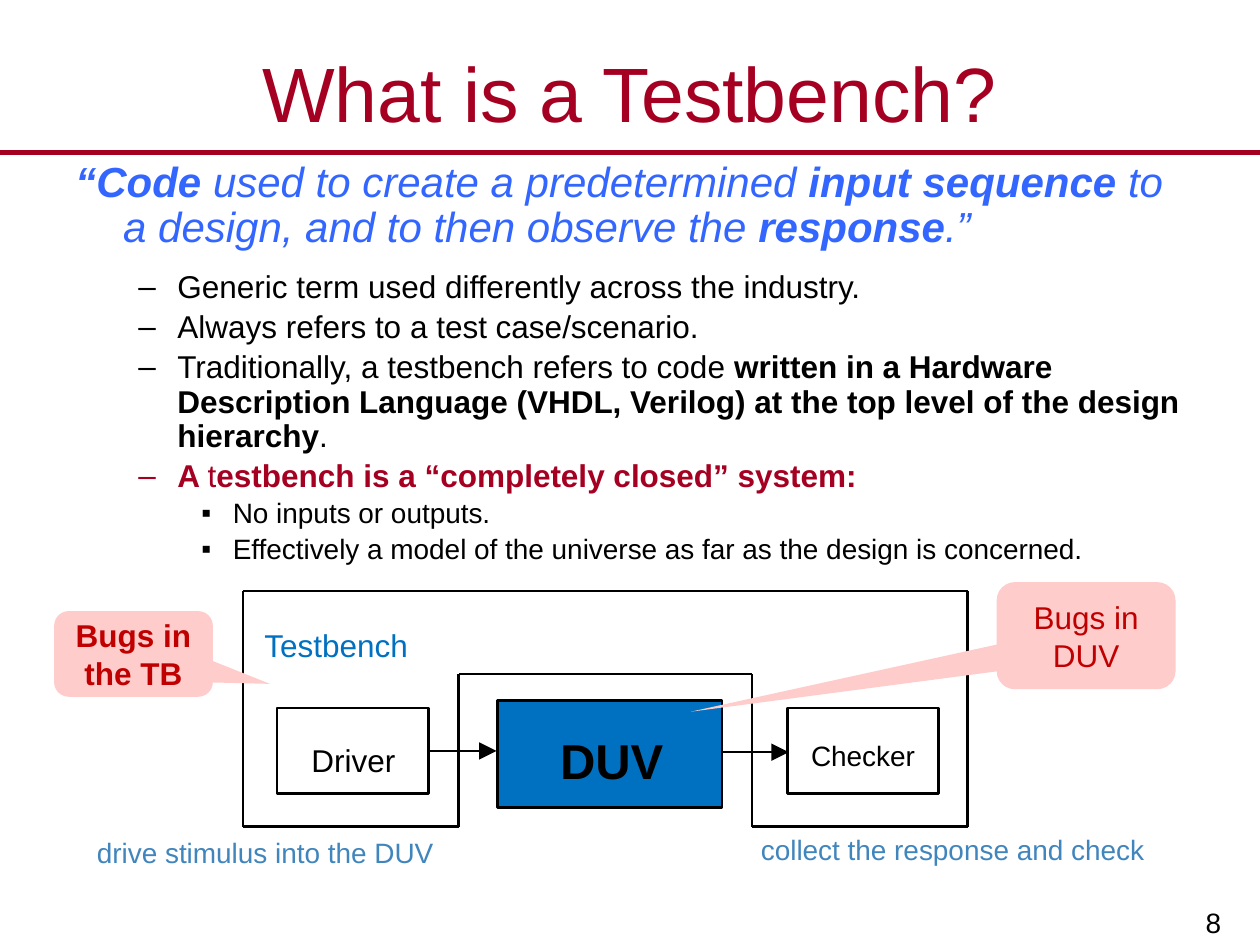
from itertools import pairwise

from lxml import etree
from pptx import Presentation
from pptx.dml.color import RGBColor
from pptx.enum.shapes import MSO_CONNECTOR, MSO_SHAPE
from pptx.enum.text import MSO_ANCHOR, PP_ALIGN
from pptx.oxml.ns import qn
from pptx.util import Inches, Pt

LEFT, CENTER, RIGHT = PP_ALIGN.LEFT, PP_ALIGN.CENTER, PP_ALIGN.RIGHT
TOP, MIDDLE, BOTTOM = MSO_ANCHOR.TOP, MSO_ANCHOR.MIDDLE, MSO_ANCHOR.BOTTOM
RECTANGLE = MSO_SHAPE.RECTANGLE
CALLOUT = MSO_SHAPE.ROUNDED_RECTANGULAR_CALLOUT
STRAIGHT = MSO_CONNECTOR.STRAIGHT

FONT = "Arial"
BLACK, CRIMSON, QUOTE_BLUE = "000000", "A50021", "3366FF"
BLUE, LABEL_BLUE = "0070C0", "4185BD"
PINK, RED = "FFCCCC", "C00000"

# Level: (left margin, hanging indent, bullet, size, space before in points)
LEVELS = {
    "quote": (0.38, 0.38, None, 24, 0),
    "point": (0.81, 0.31, "–", 18, 3.6),
    "detail": (1.25, 0.25, "▪", 16, 3.2),
}
QUOTE_GAP = 11

# Level, colour, runs as (text, bold)
BODY = [
    ("quote", QUOTE_BLUE, [
        ("“Code ", True), ("used to create a predetermined ", False),
        ("input sequence ", True), ("to a design, and to then observe the ", False),
        ("response", True), (".”", False)]),
    ("point", BLACK, [("Generic term used differently across the industry.", False)]),
    ("point", BLACK, [("Always refers to a test case/scenario.", False)]),
    ("point", BLACK, [
        ("Traditionally, a testbench refers to code ", False),
        ("written in a Hardware Description Language (VHDL, Verilog) "
         "at the top level of the design hierarchy", True),
        (".", False)]),
    ("point", CRIMSON, [
        ("A ", True), ("t", False),
        ("estbench is a “completely closed” system:", True)]),
    ("detail", BLACK, [("No inputs or outputs.", False)]),
    ("detail", BLACK, [
        ("Effectively a model of the universe as far as the design is concerned.", False)]),
]

# Text, (left, top, width, height), size, colour, alignment, anchor, bold
HEADINGS = [
    ("8", (7.8, 6.93, 1.99, 0.57), 16, BLACK, RIGHT, BOTTOM, False),
    ("What is a Testbench?", (0, 0.3, 10, 0.86), 44, CRIMSON, CENTER, MIDDLE, False),
]
LABELS = [
    ("Testbench", (2, 4.92, 1.45, 0.4), 18, BLUE, LEFT, TOP, False),
    ("Driver", (2.14, 5.83, 1.33, 0.4), 18, BLACK, CENTER, TOP, False),
    ("Checker", (6.28, 5.81, 1.14, 0.37), 16, BLACK, CENTER, TOP, False),
    ("DUV", (4.29, 5.75, 1.13, 0.57), 28, BLACK, CENTER, TOP, True),
    ("collect the response and check", (5.94, 6.56, 3.78, 0.42), 16, LABEL_BLUE, LEFT, TOP, False),
    ("drive stimulus into the DUV", (0.67, 6.58, 3.62, 0.34), 16, LABEL_BLUE, LEFT, TOP, False),
]

TESTBENCH_OUTLINE = [
    (1.93, 4.69), (7.68, 4.69), (7.68, 6.56), (5.97, 6.56), (5.97, 5.35),
    (3.64, 5.35), (3.64, 6.56), (1.93, 6.56), (1.93, 4.69),
]
BLOCKS = [  # box, fill
    ((3.95, 5.56, 1.78, 0.85), BLUE),
    ((2.2, 5.62, 1.2, 0.68), None),
    ((6.25, 5.62, 1.2, 0.68), None),
]
ARROWS = [((3.4, 5.96), (3.94, 5.96)), ((5.72, 5.97), (6.26, 5.97))]
CALLOUTS = [  # text, box, bold, pointer adjustments
    ("Bugs in the TB", (0.43, 4.85, 1.26, 0.68), True, (0.86, 0.35, 0.17)),
    ("Bugs in DUV", (7.91, 4.62, 1.42, 0.85), False, (-2.21, 0.71, 0.17)),
]


def rgb(color):
    return RGBColor.from_string(color)


def style_font(font, size, color, bold=False, italic=False):
    font.name, font.size = FONT, Pt(size)
    font.bold, font.italic = bold, italic
    font.color.rgb = rgb(color)


def fill_text(shape, text, size, color, align, anchor, bold):
    frame = shape.text_frame
    frame.word_wrap = True
    frame.vertical_anchor = anchor
    frame.text = text
    paragraph = frame.paragraphs[0]
    paragraph.alignment = align
    style_font(paragraph.runs[0].font, size, color, bold)


def add_label(slide, text, box, *style):
    fill_text(slide.shapes.add_textbox(*map(Inches, box)), text, *style)


def add_line(slide, start, end, color=BLACK, width=1.5, arrow=False):
    line = slide.shapes.add_connector(STRAIGHT, *map(Inches, (*start, *end)))
    line.line.color.rgb = rgb(color)
    line.line.width = Pt(width)
    if arrow:
        etree.SubElement(line.line._get_or_add_ln(), qn("a:tailEnd"),
                         type="triangle", w="lg", len="lg")
    etree.SubElement(line._element.spPr, qn("a:effectLst"))


def add_box(slide, kind, box, fill, outlined):
    shape = slide.shapes.add_shape(kind, *map(Inches, box))
    shape.shadow.inherit = False
    if fill:
        shape.fill.solid()
        shape.fill.fore_color.rgb = rgb(fill)
    else:
        shape.fill.background()
    if outlined:
        shape.line.color.rgb = rgb(BLACK)
        shape.line.width = Pt(1.5)
    else:
        shape.line.fill.background()
    return shape


def add_body(slide):
    frame = slide.shapes.add_textbox(*map(Inches, (0.5, 1.23, 9, 5.48))).text_frame
    frame.word_wrap = True
    previous = None
    for level, color, runs in BODY:
        margin, hanging, bullet, size, space = LEVELS[level]
        paragraph = frame.add_paragraph() if previous else frame.paragraphs[0]
        properties = paragraph._p.get_or_add_pPr()
        properties.set("marL", str(Inches(margin)))
        properties.set("indent", str(-Inches(hanging)))
        if bullet:
            etree.SubElement(properties, qn("a:buFont"), typeface=FONT)
            etree.SubElement(properties, qn("a:buChar"), char=bullet)
        paragraph.line_spacing = 0.9
        paragraph.space_before = Pt(QUOTE_GAP if previous == "quote" else space)
        for text, bold in runs:
            run = paragraph.add_run()
            run.text = text
            style_font(run.font, size, color, bold, italic=level == "quote")
        previous = level


def main():
    presentation = Presentation()
    presentation.slide_width, presentation.slide_height = Inches(10), Inches(7.5)
    slide = presentation.slides.add_slide(presentation.slide_layouts[6])

    add_line(slide, (0, 1.21), (10, 1.21), CRIMSON, 3)
    for heading in HEADINGS:
        add_label(slide, *heading)
    add_body(slide)

    for start, end in pairwise(TESTBENCH_OUTLINE):
        add_line(slide, start, end)
    for box, fill in BLOCKS:
        add_box(slide, RECTANGLE, box, fill, outlined=True)
    for start, end in ARROWS:
        add_line(slide, start, end, arrow=True)
    for label in LABELS:
        add_label(slide, *label)
    for text, box, bold, adjustments in CALLOUTS:
        callout = add_box(slide, CALLOUT, box, PINK, outlined=False)
        for index, value in enumerate(adjustments):
            callout.adjustments[index] = value
        fill_text(callout, text, 18, RED, CENTER, MIDDLE, bold)

    presentation.save("out.pptx")


if __name__ == "__main__":
    main()
